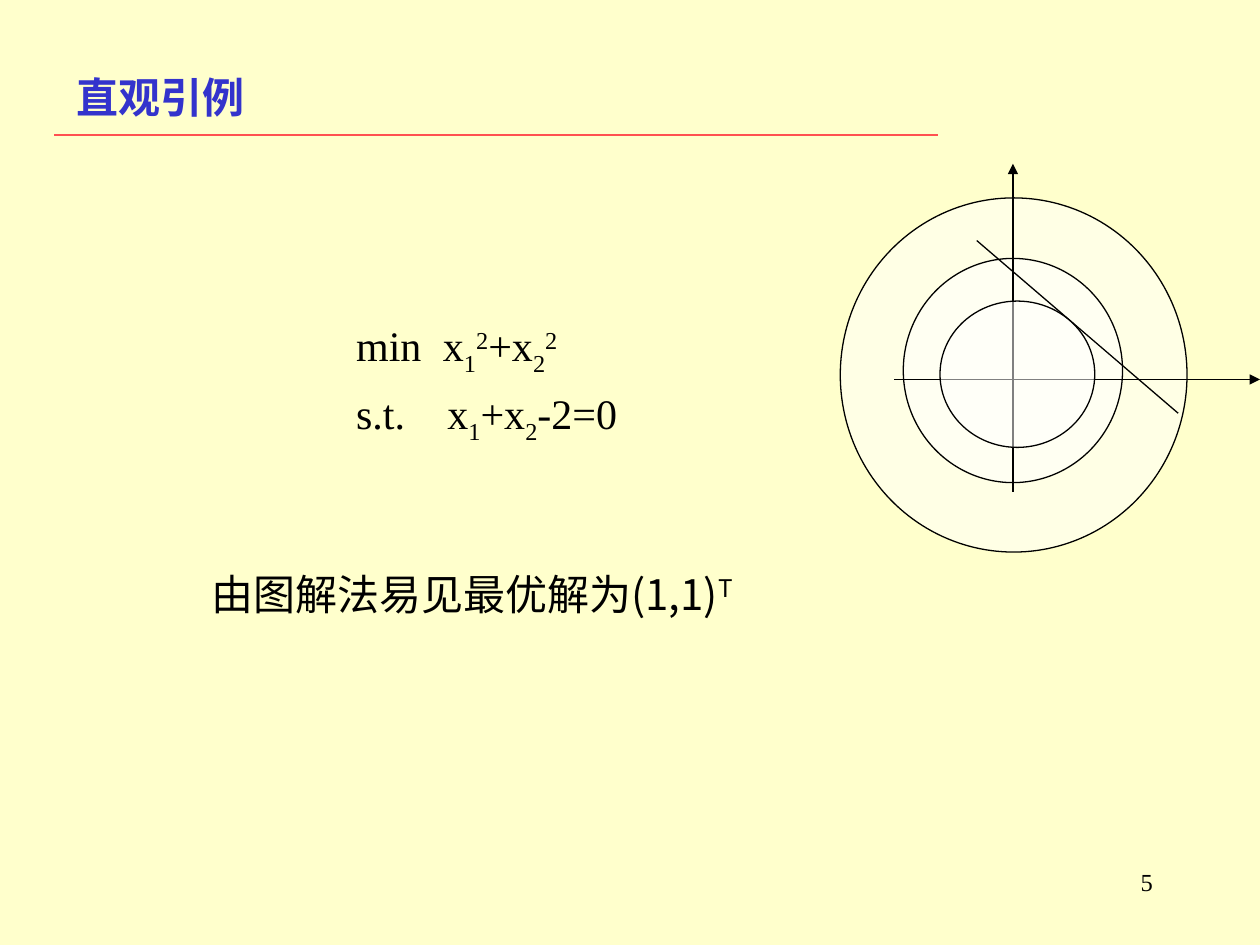
import pptx
import pptx.dml.color
import pptx.enum.shapes
import pptx.enum.text
import pptx.oxml.ns
import pptx.util
from lxml import etree

Cm = pptx.util.Cm
Pt = pptx.util.Pt
qn = pptx.oxml.ns.qn
SHAPES = pptx.enum.shapes
ALIGN = pptx.enum.text.PP_ALIGN
SUB, SUP = -25000, 30000


def rgb(value):
    return pptx.dml.color.RGBColor.from_string(value)


class Deck:
    """Style of the deck and the slide being drawn."""

    ink = "000000"
    latin = "Times New Roman"
    cjk = "Noto Sans CJK SC"
    size = 24
    line_width = 0.75

    def __init__(self, prs, background):
        self.s = prs.slides.add_slide(prs.slide_layouts[6])
        fill = self.s.background.fill
        fill.solid()
        fill.fore_color.rgb = rgb(background)

    def stroke(self, line, color):
        line.color.rgb = rgb(color)
        line.width = Pt(self.line_width)

    def ellipse(self, x, y, w, h):
        sp = self.s.shapes.add_shape(
            SHAPES.MSO_SHAPE.OVAL, Cm(x), Cm(y), Cm(w), Cm(h))
        sp.shadow.inherit = False
        sp.fill.solid()
        sp.fill.fore_color.rgb = rgb("FFFFFF")
        clr = sp.fill._xPr.find(qn("a:solidFill"))[0]
        etree.SubElement(clr, qn("a:alpha"), val="50000")
        self.stroke(sp.line, self.ink)

    def line(self, x1, y1, x2, y2, color=ink, arrow=False):
        cxn = self.s.shapes.add_connector(
            SHAPES.MSO_CONNECTOR.STRAIGHT, Cm(x1), Cm(y1), Cm(x2), Cm(y2))
        self.stroke(cxn.line, color)
        if arrow:
            etree.SubElement(cxn.line._get_or_add_ln(), qn("a:tailEnd"), type="triangle")
        etree.SubElement(cxn._element.spPr, qn("a:effectLst"))

    def text(self, x, y, w, h, paragraphs, font=latin, size=size, color=ink,
             bold=False, align=ALIGN.LEFT, before=0, wrap=False, tabs=()):
        tf = self.s.shapes.add_textbox(Cm(x), Cm(y), Cm(w), Cm(h)).text_frame
        tf.word_wrap = wrap
        for i, runs in enumerate(paragraphs):
            p = tf.add_paragraph() if i else tf.paragraphs[0]
            p.alignment = align
            p.space_before = Pt(before)
            if tabs:
                stops = etree.SubElement(p._p.get_or_add_pPr(), qn("a:tabLst"))
                etree.SubElement(stops, qn("a:tab"), pos=str(Cm(tabs[i])), algn="l")
            for words, baseline in runs:
                r = p.add_run()
                r.text = words
                r.font.size = Pt(size)
                r.font.bold = bold
                r.font.color.rgb = rgb(color)
                r.font.name = font
                rPr = r._r.get_or_add_rPr()
                etree.SubElement(rPr, qn("a:ea"), typeface=font)
                if baseline:
                    rPr.set("baseline", str(baseline))


def main():
    prs = pptx.Presentation()
    prs.slide_width, prs.slide_height = Cm(25.4), Cm(19.05)
    deck = Deck(prs, "FFFFCC")

    deck.ellipse(16.94, 3.99, 6.99, 7.14)
    deck.ellipse(18.21, 5.21, 4.42, 4.52)
    deck.line(18.03, 7.65, 25.4, 7.65, arrow=True)
    deck.line(20.42, 9.91, 20.42, 3.3, arrow=True)
    deck.line(19.69, 4.85, 23.75, 8.33)
    deck.ellipse(18.95, 6.07, 3.12, 2.95)

    deck.text(1.3, 1.32, 5, 1.27, [[("直观引例", 0)]],
              font=deck.cjk, color="3333CC", bold=True, wrap=True)
    objective = [("min\tx", 0), ("1", SUB), ("2", SUP),
                 ("+x", 0), ("2", SUB), ("2", SUP)]
    constraint = [("s.t.\tx", 0), ("1", SUB), ("+x", 0), ("2", SUB), ("-2=0", 0)]
    deck.text(6.93, 6.32, 5.77, 2.79, [objective, constraint],
              before=6, tabs=(1.75, 1.84))
    deck.text(4.01, 11.33, 11.53, 1.27, [[("由图解法易见最优解为(1,1)", 0), ("T", SUP)]],
              font=deck.cjk, before=6)
    deck.line(1.09, 2.72, 18.9, 2.72, color="FF5050")
    deck.text(18.21, 17.35, 5.28, 1.27, [[("5", 0)]],
              size=14, align=ALIGN.RIGHT, wrap=True)

    prs.save("out.pptx")


if __name__ == "__main__":
    main()
